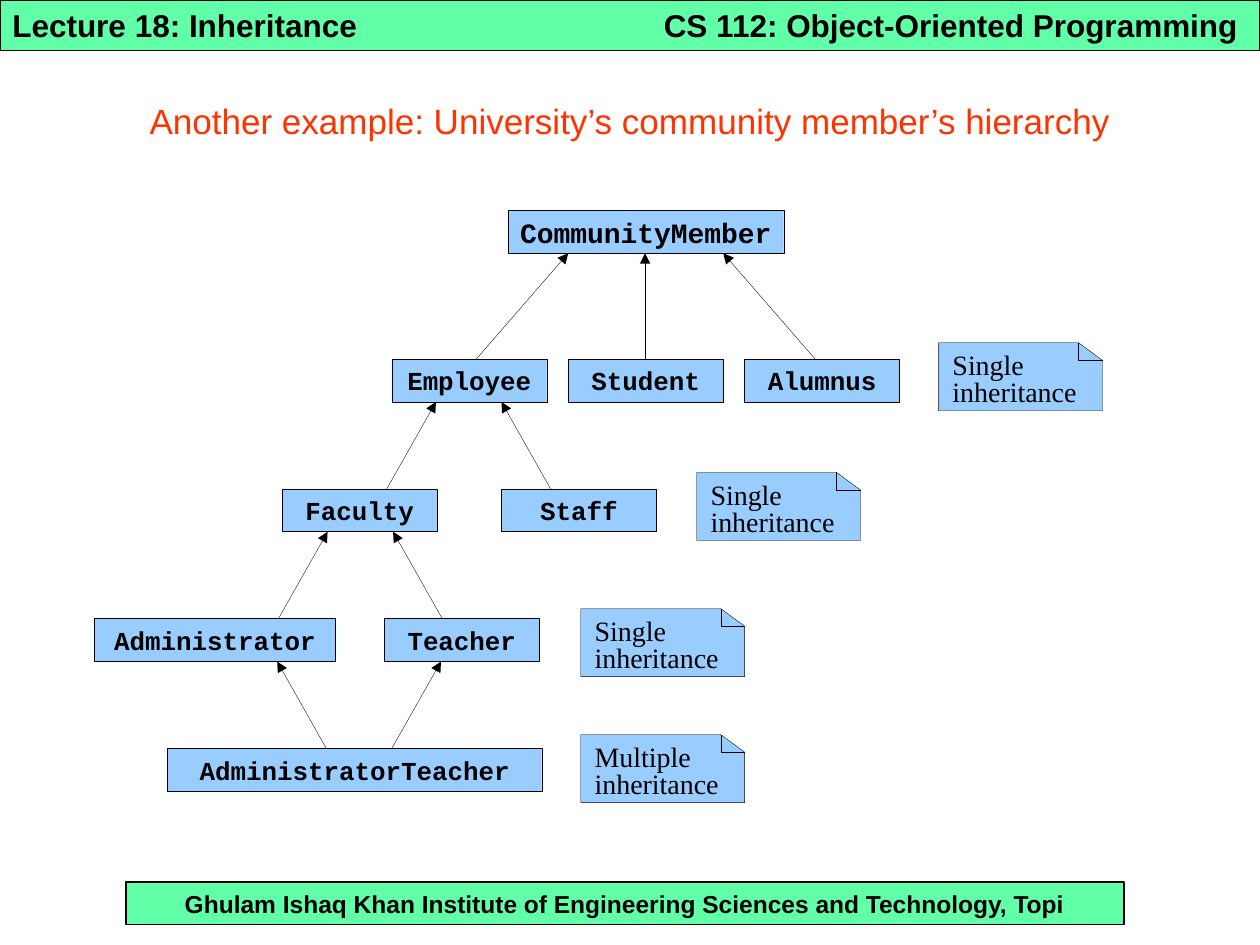
"""Slide showing a class hierarchy with single and multiple inheritance."""
from dataclasses import dataclass

from lxml import etree
from pptx import Presentation
from pptx import util as u
from pptx.dml.color import RGBColor
from pptx.enum import shapes, text
from pptx.oxml import ns


@dataclass(frozen=True)
class Theme:
    """Colours, fonts, type sizes and line widths."""
    bar: str = "61FFA8"
    node: str = "99CCFF"
    ink: str = "000000"
    accent: str = "FF3300"
    sans: str = "Arial"
    mono: str = "Courier New"
    serif: str = "Times New Roman"
    header: float = 18
    footer: float = 14
    title: float = 20
    root: float = 16
    name: float = 14.8
    note: float = 16
    bar_line: float = 0.75
    thin_line: float = 0.2


COLUMNS, ROWS = 100, 75
BOX_HEIGHT = 3.4
LEVELS = [16.7, 28.5, 38.8, 49.1, 59.4]
CLASSES = [
    ("CommunityMember", 0, 40.3, 21.9),
    ("Employee", 1, 31.1, 12.3),
    ("Student", 1, 45.1, 12.3),
    ("Alumnus", 1, 59.1, 12.3),
    ("Faculty", 2, 22.4, 12.3),
    ("Staff", 2, 39.8, 12.3),
    ("Administrator", 3, 7.5, 19.1),
    ("Teacher", 3, 30.5, 12.3),
    ("AdministratorTeacher", 4, 13.3, 29.7),
]
ARROWS = [
    (1, 37.8, 45.1), (1, 51.2, 51.2), (1, 64.7, 57.4),
    (2, 30.7, 34.6), (2, 43.7, 39.8),
    (3, 22.1, 26), (3, 35.1, 31.2),
    (4, 25.9, 22), (4, 31.1, 35),
]
NOTES = [
    ("Single inheritance", 74.5, 27.2),
    ("Single inheritance", 55.3, 37.5),
    ("Single inheritance", 46.1, 48.3),
    ("Multiple inheritance", 46.1, 58.3),
]


class Sketch:
    """Draws styled elements on one slide, measured in grid columns and rows."""

    def __init__(self, deck, theme):
        """Add a blank slide and work out the grid cell."""
        self.theme = theme
        self.slide = deck.slides.add_slide(deck.slide_layouts[6])
        self.column = deck.slide_width / COLUMNS
        self.row = deck.slide_height / ROWS

    def place(self, *lengths):
        """Turn alternating columns and rows into slide lengths."""
        cells = (self.column, self.row) * 2
        return [u.Emu(round(size * cell)) for size, cell in zip(lengths, cells)]

    def paint(self, shape, fill, width):
        """Give a shape its fill and outline without a shadow."""
        shape.shadow.inherit = False
        if fill:
            shape.fill.solid()
            shape.fill.fore_color.rgb = RGBColor.from_string(fill)
        else:
            shape.fill.background()
        shape.line.color.rgb = RGBColor.from_string(self.theme.ink)
        shape.line.width = u.Pt(width)

    def set_words(self, shape, words, font, size, color=None, bold=True, align="CENTER",
                  anchor="MIDDLE", insets=(0.1, 0.05, 0.1, 0.05), spacing=1.0):
        """Set the words of a shape and format them."""
        frame = shape.text_frame
        frame.text = words
        frame.word_wrap = True
        frame.vertical_anchor = text.MSO_ANCHOR[anchor]
        frame.margin_left, frame.margin_top, frame.margin_right, frame.margin_bottom = map(u.Inches, insets)
        para = frame.paragraphs[0]
        para.alignment = text.PP_ALIGN[align]
        para.line_spacing = spacing
        span = para.runs[0]
        span.font.name = font
        span.font.size = u.Pt(size)
        span.font.bold = bold
        span.font.color.rgb = RGBColor.from_string(color or self.theme.ink)

    def box(self, words, place, fill, width, font, size, **style):
        """Add a filled rectangle with words."""
        shape = self.slide.shapes.add_shape(shapes.MSO_SHAPE.RECTANGLE, *self.place(*place))
        self.paint(shape, fill, width)
        self.set_words(shape, words, font, size, **style)

    def label(self, words, place, size, **style):
        """Add plain sans-serif text."""
        shape = self.slide.shapes.add_textbox(*self.place(*place))
        self.set_words(shape, words, self.theme.sans, size, **style)

    def outline(self, points, fill=None, close=True):
        """Add a thin-lined freeform through grid points."""
        start, *rest = [self.place(*point) for point in points]
        builder = self.slide.shapes.build_freeform(*start)
        builder.add_line_segments(rest, close=close)
        shape = builder.convert_to_shape()
        self.paint(shape, fill, self.theme.thin_line)
        return shape

    def note(self, words, left, top, width=13, height=5.4, fold=(1.9, 1.4)):
        """Add a note with a folded corner."""
        right, bottom = left + width, top + height
        crease, flap = right - fold[0], top + fold[1]
        page = self.outline([(crease, top), (right, flap), (right, bottom), (left, bottom), (left, top)],
                            self.theme.node)
        self.set_words(page, words, self.theme.serif, self.theme.note, bold=False, align="LEFT",
                       anchor="TOP", insets=(0.11, 0.09, 0.1, 0), spacing=0.8)
        self.outline([(right, flap), (crease, flap), (crease, top)], close=False)

    def arrow(self, level, child, parent):
        """Point from the top of a level to the bottom of the level above."""
        start = self.place(child, LEVELS[level])
        end = self.place(parent, LEVELS[level - 1] + BOX_HEIGHT)
        link = self.slide.shapes.add_connector(shapes.MSO_CONNECTOR.STRAIGHT, *start, *end)
        link.line.color.rgb = RGBColor.from_string(self.theme.ink)
        link.line.width = u.Pt(self.theme.thin_line)
        properties = link.element.spPr
        etree.SubElement(properties.find(ns.qn("a:ln")), ns.qn("a:tailEnd"), type="triangle")
        etree.SubElement(properties, ns.qn("a:effectLst"))


def main():
    """Build the slide and save it."""
    deck = Presentation()
    deck.slide_width, deck.slide_height = u.Inches(10), u.Inches(7.5)
    theme = Theme()
    sketch = Sketch(deck, theme)
    sketch.box("Ghulam Ishaq Khan Institute of Engineering Sciences and Technology, Topi",
               (10, 70, 79.2, 3.4), theme.bar, theme.bar_line, theme.sans, theme.footer)
    sketch.box("Lecture 18: Inheritance", (0, 0, COLUMNS, 4), theme.bar, theme.bar_line,
               theme.sans, theme.header, align="LEFT")
    sketch.label("CS 112: Object-Oriented Programming", (51.7, 0, 48.3, 4), theme.header, align="LEFT")
    sketch.label("Another example: University’s community member’s hierarchy",
                 (0, 5.8, COLUMNS, 7.5), theme.title, color=theme.accent, bold=False)
    for name, level, left, width in CLASSES:
        sketch.box(name, (left, LEVELS[level], width, BOX_HEIGHT), theme.node, theme.thin_line,
                   theme.mono, theme.name if level else theme.root, insets=(0, 0, 0, 0))
    for arrow in ARROWS:
        sketch.arrow(*arrow)
    for note in NOTES:
        sketch.note(*note)
    deck.save("out.pptx")


if __name__ == "__main__":
    main()
